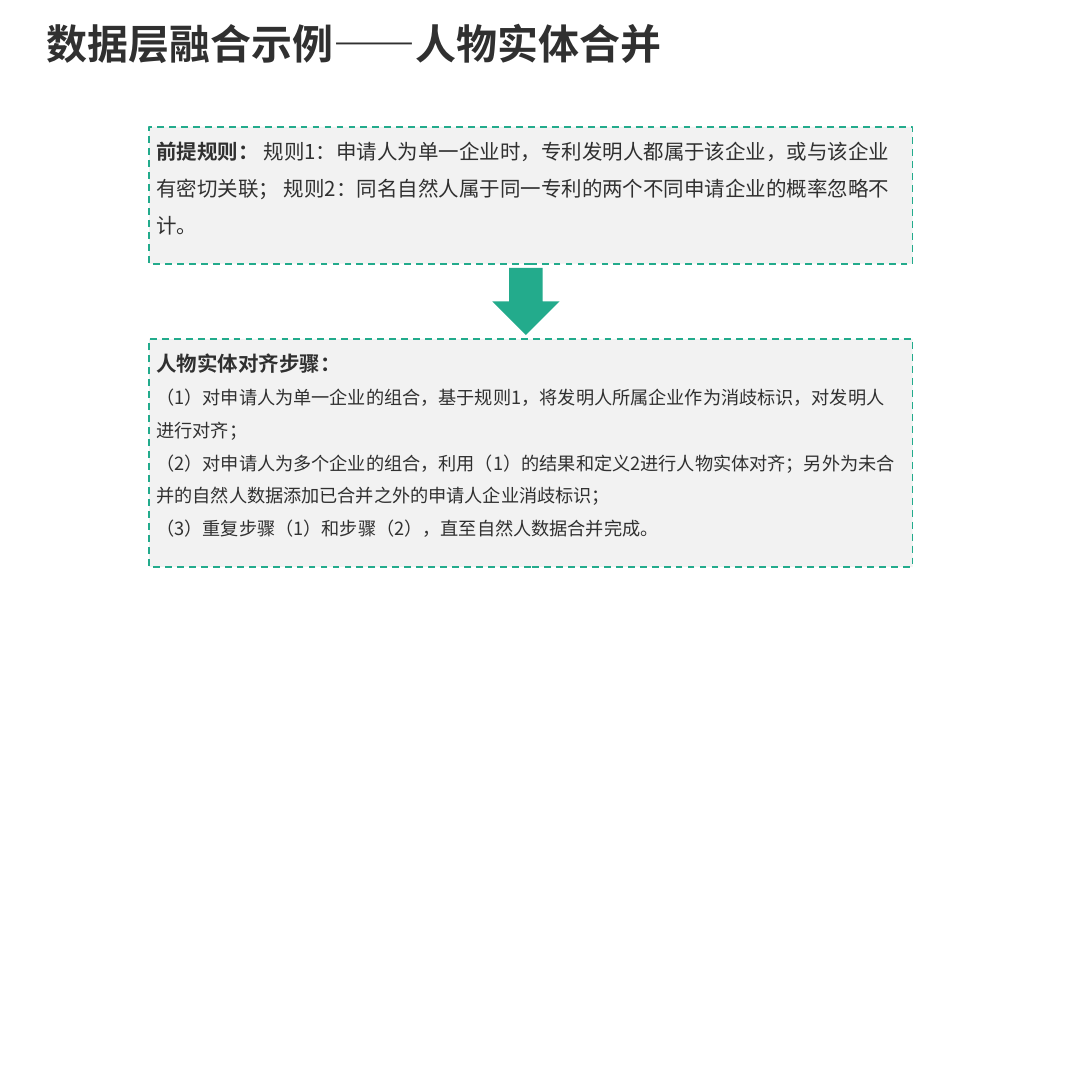
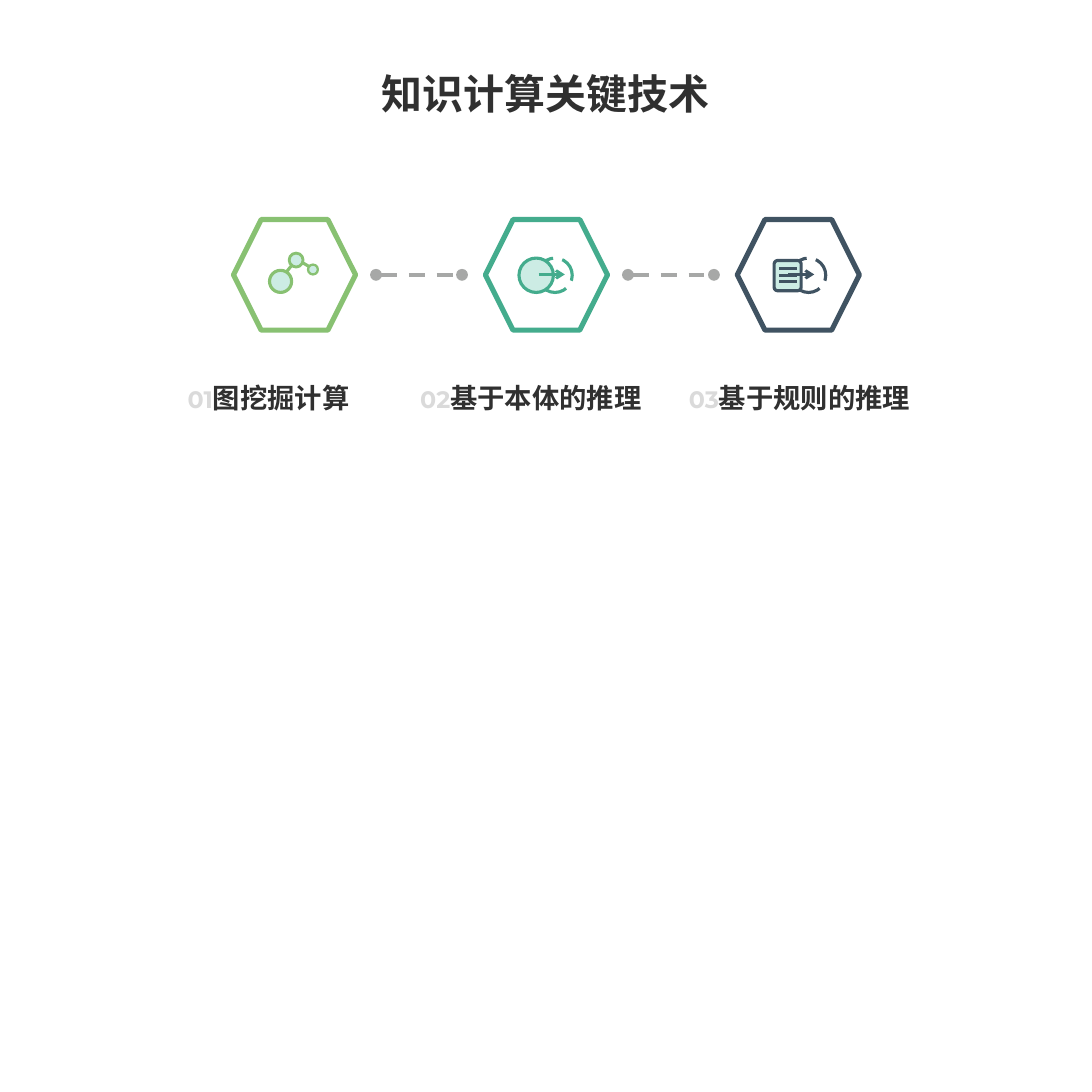
from dataclasses import dataclass

import lxml.etree
import pptx
import pptx.dml.color
import pptx.enum.dml
import pptx.enum.shapes
import pptx.enum.text
import pptx.oxml.ns
import pptx.util

Inches = pptx.util.Inches
SHAPE = pptx.enum.shapes.MSO_SHAPE
DASH = pptx.enum.dml.MSO_LINE


@dataclass(frozen=True)
class Theme:
    """Colours, fonts and type sizes shared by the slides."""

    ink: str = "303030"
    panel: str = "F2F2F2"
    teal: str = "23AB8C"
    green: str = "88C172"
    sea: str = "44AC8D"
    navy: str = "405362"
    mint: str = "CCECE4"
    link: str = "A7A8A7"
    number: str = "DADADA"
    font: str = "Noto Sans CJK SC"
    number_font: str = "Montserrat"
    title_size: int = 36
    label_size: int = 24
    lead_size: int = 18
    step_size: int = 16


THEME = Theme()
HEX_WIDTH, HEX_HEIGHT = 1.49, 1.35


def rgb(colour):
    """Turn a hex string into a colour."""
    return pptx.dml.color.RGBColor.from_string(colour)


def add_child(parent, tag, **attributes):
    """Append a drawing element with its attributes."""
    child = lxml.etree.SubElement(parent, pptx.oxml.ns.qn(tag))
    for key, value in attributes.items():
        child.set(key, value)
    return child


def style_paragraph(paragraph, size, bold=True):
    """Give a paragraph the shared typeface and ink."""
    paragraph.alignment = pptx.enum.text.PP_ALIGN.LEFT
    font = paragraph.font
    font.size = pptx.util.Pt(size)
    font.bold = bold
    font.color.rgb = rgb(THEME.ink)
    font.name = THEME.font
    defaults = paragraph._p.pPr.find(pptx.oxml.ns.qn("a:defRPr"))
    add_child(defaults, "a:ea", typeface=THEME.font)


def set_frame(frame, left=0.01, top=0, right=0):
    """Wrap text from the top with the given insets."""
    frame.word_wrap = True
    frame.vertical_anchor = pptx.enum.text.MSO_ANCHOR.TOP
    frame.margin_left, frame.margin_top = Inches(left), Inches(top)
    frame.margin_right, frame.margin_bottom = Inches(right), 0


def add_text_box(slide, left, top, width, height):
    """Add a text box and return its first paragraph."""
    box = slide.shapes.add_textbox(Inches(left), Inches(top), Inches(width), Inches(height))
    set_frame(box.text_frame)
    return box.text_frame.paragraphs[0]


def add_title(slide, text, left, top, width):
    """Add a slide title."""
    title = add_text_box(slide, left, top, width, 0.61)
    title.text = text
    style_paragraph(title, THEME.title_size)


def add_outlined(slide, kind, left, top, width, height, fill=None, line=None, weight=1.5, dash=None):
    """Add a preset shape with optional fill and outline."""
    shape = slide.shapes.add_shape(kind, Inches(left), Inches(top), Inches(width), Inches(height))
    shape.shadow.inherit = False
    if fill:
        shape.fill.solid()
        shape.fill.fore_color.rgb = rgb(fill)
    else:
        shape.fill.background()
    if line:
        shape.line.color.rgb = rgb(line)
        shape.line.width = pptx.util.Pt(weight)
        if dash:
            shape.line.dash_style = dash
    else:
        shape.line.fill.background()
    return shape


def add_line(slide, start, end, colour, weight, dash=None, head=None, tail=None):
    """Add a straight line with optional end marks."""
    line = slide.shapes.add_connector(
        pptx.enum.shapes.MSO_CONNECTOR.STRAIGHT, *(Inches(value) for value in (*start, *end)))
    line.line.color.rgb = rgb(colour)
    line.line.width = pptx.util.Pt(weight)
    if dash:
        line.line.dash_style = dash
    stroke = line.line._get_or_add_ln()
    for tag, mark in (("a:headEnd", head), ("a:tailEnd", tail)):
        if mark:
            add_child(stroke, tag, type=mark, w="med", len="med")
    add_child(line._element.spPr, "a:effectLst")


def add_panel(slide, left, top, width, height, inset_top, inset_right):
    """Add a dashed panel and return its text frame."""
    panel = add_outlined(slide, SHAPE.RECTANGLE, left, top, width, height,
                         THEME.panel, THEME.teal, 1.5, DASH.DASH)
    set_frame(panel.text_frame, 0.09, inset_top, inset_right)
    return panel.text_frame


def add_premise(slide, left, top, width, height):
    """Add the panel of premise rules."""
    premise = add_panel(slide, left, top, width, height, 0, 0.06).paragraphs[0]
    premise.line_spacing = 1.5
    style_paragraph(premise, THEME.lead_size, bold=False)
    heading = premise.add_run()
    heading.text = "前提规则： "
    heading.font.bold = True
    premise.add_run().text = (
        "规则1：申请人为单一企业时，专利发明人都属于该企业，或与该企业有密切关联； "
        "规则2：同名自然人属于同一专利的两个不同申请企业的概率忽略不计。")


def add_steps(slide, left, top, width, height):
    """Add the panel of alignment steps."""
    frame = add_panel(slide, left, top, width, height, 0.14, 0.15)
    heading = frame.paragraphs[0]
    heading.text = "人物实体对齐步骤："
    style_paragraph(heading, THEME.lead_size)
    steps = (
        ("（1）对申请人为单一企业的组合，基于规则1，将发明人所属企业作为消歧标识，对发明人 进行对齐；", 1.5, 0.4),
        ("（2）对申请人为多个企业的组合，利用（1）的结果和定义2进行人物实体对齐；"
         "另外为未合 并的自然人数据添加已合并之外的申请人企业消歧标识；", 1.5, 0),
        ("（3）重复步骤（1）和步骤（2），直至自然人数据合并完成。", 1.0, 9.6),
    )
    for text, spacing, before in steps:
        step = frame.add_paragraph()
        step.text = text
        step.line_spacing = spacing
        step.space_before = pptx.util.Pt(before)
        style_paragraph(step, THEME.step_size, bold=False)


def add_graph_icon(slide, left, top, colour):
    """Draw three linked nodes."""
    for start, end in (((0.56, 0.75), (0.71, 0.56)), ((0.95, 0.59), (0.8, 0.5))):
        add_line(slide, (left + start[0], top + start[1]), (left + end[0], top + end[1]), colour, 2.75)
    for x, y, size, weight in ((0.68, 0.41, 0.17, 2.5), (0.91, 0.55, 0.12, 2), (0.44, 0.62, 0.27, 2.75)):
        add_outlined(slide, SHAPE.OVAL, left + x, top + y, size, size, THEME.mint, colour, weight)


def add_ring(slide, left, top, colour):
    """Draw the dashed ring behind an inference icon."""
    add_outlined(slide, SHAPE.OVAL, left, top, 0.42, 0.42, None, colour, 2.75, DASH.LONG_DASH)


def add_inference_arrow(slide, left, top, colour):
    """Draw the arrow across an inference icon."""
    add_line(slide, (left, top), (left + 0.32, top), colour, 2.5, tail="arrow")


def add_ontology_icon(slide, left, top, colour):
    """Draw a disc pointing to a dashed ring."""
    add_ring(slide, left + 0.64, top + 0.47, colour)
    add_outlined(slide, SHAPE.OVAL, left + 0.41, top + 0.47, 0.42, 0.42, THEME.mint, colour, 2.75)
    add_inference_arrow(slide, left + 0.65, top + 0.67, colour)


def add_rule_icon(slide, left, top, colour):
    """Draw a sheet of rules pointing to a dashed ring."""
    add_ring(slide, left + 0.66, top + 0.47, colour)
    sheet = add_outlined(slide, SHAPE.ROUNDED_RECTANGLE, left + 0.45, top + 0.5, 0.33, 0.37,
                         THEME.mint, colour, 2.75)
    sheet.adjustments[0] = 0.13
    for row in range(3):
        y = top + 0.6 + 0.08 * row
        add_line(slide, (left + 0.51, y), (left + 0.73, y), colour, 2.5)
    add_inference_arrow(slide, left + 0.62, top + 0.67, colour)


def add_label(slide, number, text, left, top, width):
    """Add a numbered label."""
    label = add_text_box(slide, left, top, width, 0.41)
    style_paragraph(label, THEME.label_size)
    digits = label.add_run()
    digits.text = number
    digits.font.size = pptx.util.Pt(THEME.title_size)
    digits.font.name = THEME.number_font
    digits.font.color.rgb = rgb(THEME.number)
    digits._r.get_or_add_rPr().set("baseline", "1000")
    label.add_run().text = text


def build_merge_slide(slide):
    """Build the slide on merging person entities."""
    add_title(slide, "数据层融合示例——人物实体合并", 0.56, 0.23, 12.24)
    add_premise(slide, 1.82, 1.55, 9.32, 1.67)
    add_outlined(slide, SHAPE.DOWN_ARROW, 6.01, 3.27, 0.82, 0.82, THEME.teal)
    add_steps(slide, 1.82, 4.14, 9.32, 2.78)


def build_techniques_slide(slide):
    """Build the slide on key computing techniques."""
    add_title(slide, "知识计算关键技术", 4.65, 0.84, 4.03)
    first_left, top, pitch = 2.85, 2.68, 3.075
    techniques = (
        ("图挖掘计算", THEME.green, add_graph_icon, 2.28, 2.14),
        ("基于本体的推理", THEME.sea, add_ontology_icon, 5.12, 2.81),
        ("基于规则的推理", THEME.navy, add_rule_icon, 8.4, 2.8),
    )
    for index, (name, colour, add_icon, label_left, label_width) in enumerate(techniques):
        left = first_left + index * pitch
        add_outlined(slide, SHAPE.HEXAGON, left, top, HEX_WIDTH, HEX_HEIGHT, None, colour, 4.5)
        add_icon(slide, left, top, colour)
        add_label(slide, f"{index + 1:02d}", name, label_left, 4.49, label_width)
        if index < len(techniques) - 1:
            start, middle = left + 1.74, top + HEX_HEIGHT / 2
            add_line(slide, (start, middle), (start + 1.05, middle), THEME.link, 3.5,
                     DASH.DASH, "oval", "oval")


def main():
    """Build and save the presentation."""
    deck = pptx.Presentation()
    deck.slide_width = deck.slide_height = Inches(13.33)
    for build in (build_merge_slide, build_techniques_slide):
        build(deck.slides.add_slide(deck.slide_layouts[6]))
    deck.save("out.pptx")


if __name__ == "__main__":
    main()
